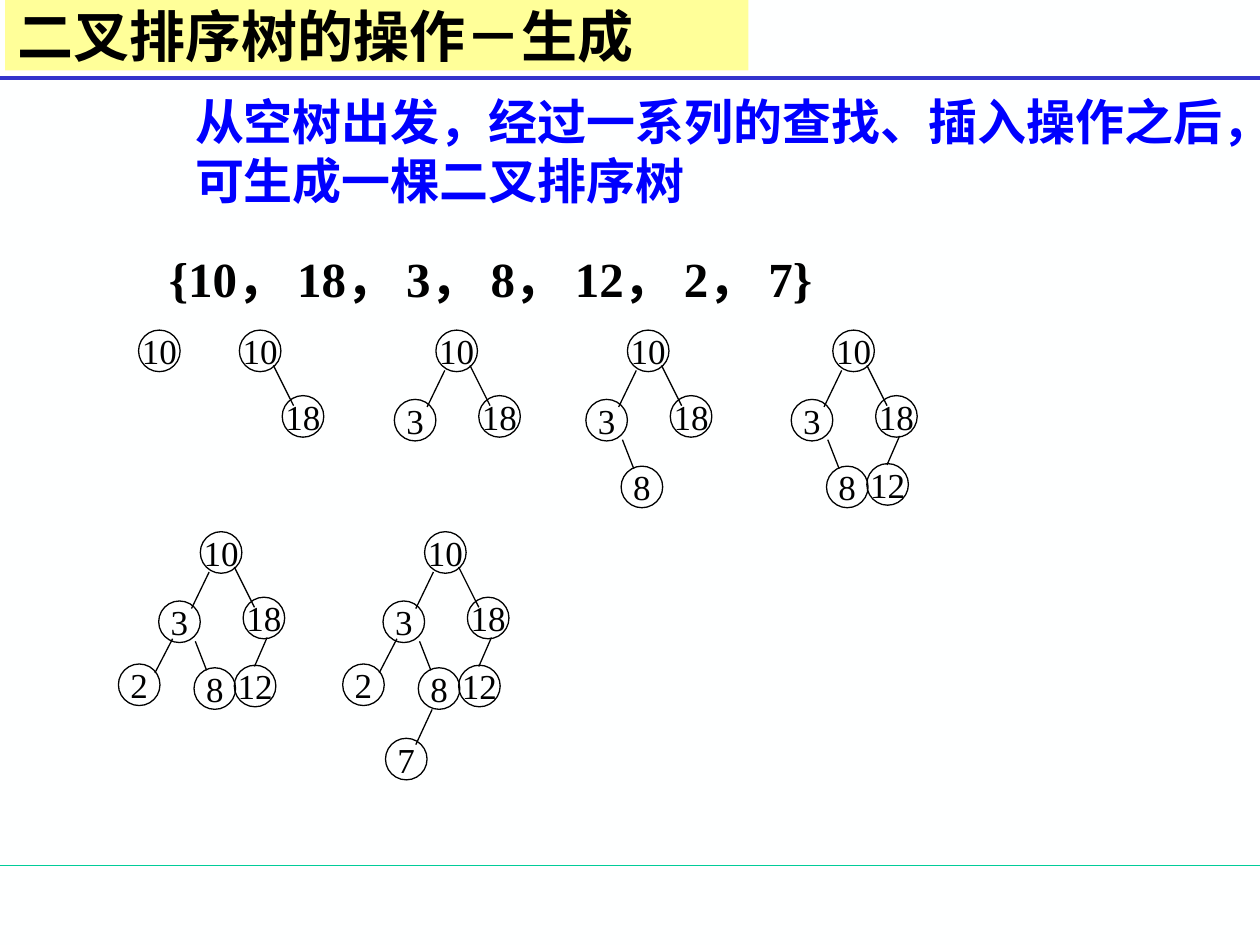
from lxml import etree
from pptx import Presentation
from pptx.dml.color import RGBColor
from pptx.enum import shapes, text
from pptx.oxml.ns import qn
from pptx.util import Inches, Pt

COLORS = {"bg": "FEFFFF", "ink": "000000", "blue": "0000FF", "title": "FFFF99",
          "rule": "3333CC", "footer": "00CC99"}
LATIN, SANS, CJK = "Times New Roman", "Arial", "Noto Sans CJK SC"
NODE = 0.33

# Keys in insertion order: node offset from the root, then its edge's two ends
KEYS = [
    ("10", (0, 0), None),
    ("18", (0.34, 0.52), (0.27, 0.28, 0.43, 0.60)),
    ("3", (-0.33, 0.55), (0.07, 0.32, -0.07, 0.61)),
    ("8", (-0.05, 1.08), (-0.04, 0.87, 0.05, 1.10)),
    ("12", (0.27, 1.06), (0.53, 0.84, 0.43, 1.07)),
    ("2", (-0.65, 1.05), (-0.22, 0.85, -0.36, 1.12)),
    ("7", (-0.31, 1.64), (0.06, 1.41, -0.07, 1.69)),
]
# Root corner of the tree after each insertion
ROOTS = [(1.10, 2.62), (1.90, 2.62), (3.46, 2.62), (4.98, 2.62), (6.61, 2.62),
         (1.59, 4.22), (3.37, 4.22)]


def rgb(name):
    return RGBColor.from_string(COLORS[name])


def set_text(sp, words, size, font, color="ink", bold=False, align=None):
    tf = sp.text_frame
    tf.word_wrap = True
    tf.vertical_anchor = text.MSO_ANCHOR.MIDDLE
    p = tf.paragraphs[0]
    p.text = words
    p.alignment = align or text.PP_ALIGN.LEFT
    p.font.size = Pt(size)
    p.font.bold = bold
    p.font.name = font
    p.font.color.rgb = rgb(color)
    # East Asian typeface follows the Latin one
    latin = p._p.pPr.find(qn("a:defRPr")).find(qn("a:latin"))
    ea = etree.Element(qn("a:ea"), typeface=CJK)
    latin.addnext(ea)
    return tf


def add_text(s, box, words, size, font, **style):
    sp = s.shapes.add_textbox(*map(Inches, box))
    return set_text(sp, words, size, font, **style)


def add_line(parent, ends, color="ink", width=0.75):
    line = parent.shapes.add_connector(shapes.MSO_CONNECTOR.STRAIGHT,
                                       *map(Inches, ends))
    line.line.color.rgb = rgb(color)
    line.line.width = Pt(width)
    etree.SubElement(line._element.spPr, qn("a:effectLst"))


def add_node(parent, key, x, y):
    sp = parent.shapes.add_shape(shapes.MSO_SHAPE.OVAL, Inches(x), Inches(y),
                                 Inches(NODE), Inches(NODE))
    sp.shadow.inherit = False
    sp.fill.background()
    sp.line.color.rgb = rgb("ink")
    sp.line.width = Pt(0.75)
    tf = set_text(sp, key, 20, LATIN, align=text.PP_ALIGN.CENTER)
    tf.word_wrap = False


def add_tree(s, count, x, y):
    parent = s.shapes.add_group_shape() if count > 1 else s
    for key, (dx, dy), edge in KEYS[:count]:
        add_node(parent, key, x + dx, y + dy)
        if edge:
            x1, y1, x2, y2 = edge
            add_line(parent, (x + x1, y + y1, x + x2, y + y2))


def add_title(s, words):
    sp = s.shapes.add_shape(shapes.MSO_SHAPE.RECTANGLE, Inches(0.04), 0,
                            Inches(5.9), Inches(0.56))
    sp.shadow.inherit = False
    sp.fill.solid()
    sp.fill.fore_color.rgb = rgb("title")
    sp.line.fill.background()
    set_text(sp, words, 32, CJK, bold=True)


def main():
    prs = Presentation()
    prs.slide_width, prs.slide_height = Inches(10), Inches(7.5)
    s = prs.slides.add_slide(prs.slide_layouts[6])
    s.background.fill.solid()
    s.background.fill.fore_color.rgb = rgb("bg")

    # Rules under the title and above the footer
    add_line(s, (0, 6.87, 10, 6.87), "footer")
    add_line(s, (0, 0.62, 10, 0.62), "rule", 2.25)

    # Key sequence
    keys = "， ".join(key for key, _, _ in KEYS)
    tf = add_text(s, (1.05, 1.55, 8.32, 0.94), "{" + keys + "}", 28, LATIN, bold=True)
    tf.vertical_anchor = text.MSO_ANCHOR.BOTTOM
    tf.margin_left = Inches(0.29)

    # One tree per insertion
    for count, (x, y) in enumerate(ROOTS, start=1):
        add_tree(s, count, x, y)

    # Explanation, indented
    tf = add_text(s, (-0.05, 0.68, 9.96, 1.04),
                  "从空树出发，经过一系列的查找、插入操作之后，可生成一棵二叉排序树",
                  28, SANS, color="blue", bold=True)
    tf.vertical_anchor = text.MSO_ANCHOR.TOP
    p = tf.paragraphs[0]
    p.line_spacing = Pt(33.6)
    p._p.pPr.set("marL", str(Inches(1.5)))
    p._p.pPr.set("indent", "0")

    add_title(s, "二叉排序树的操作－生成")
    prs.save("out.pptx")


if __name__ == "__main__":
    main()
